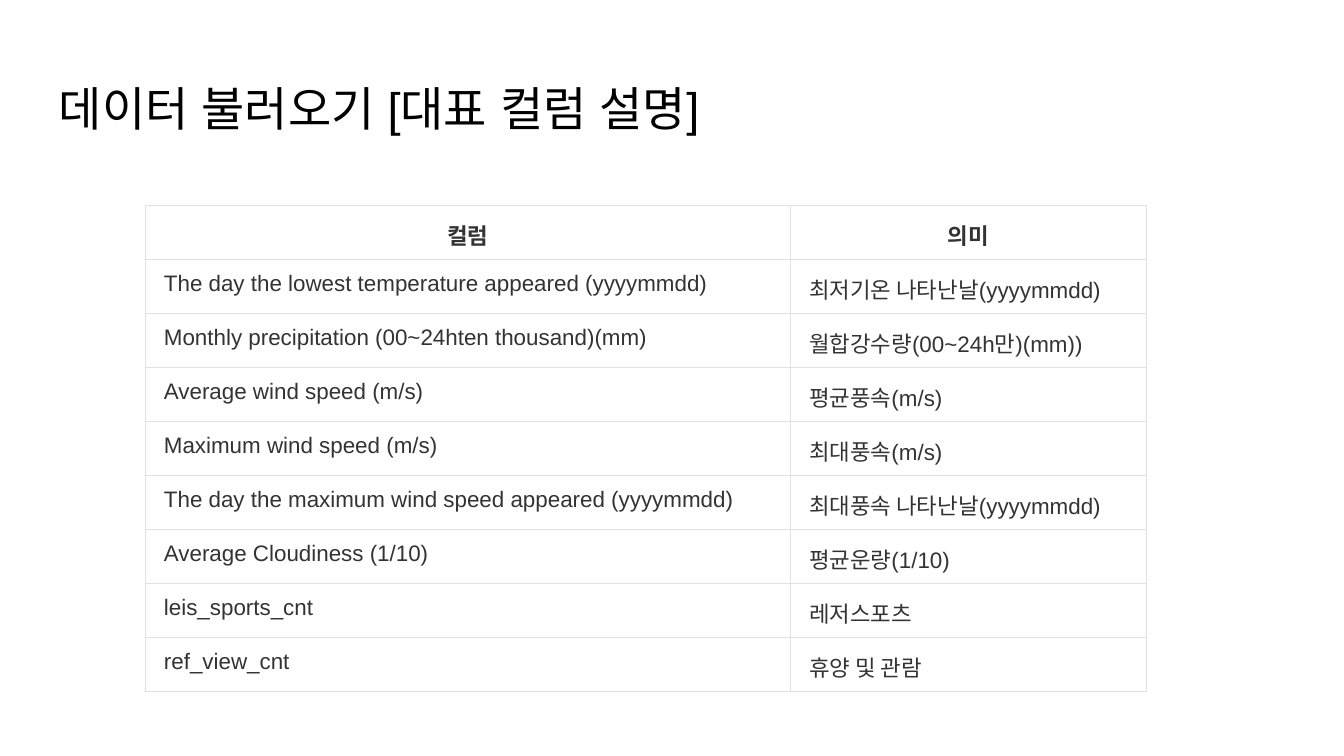
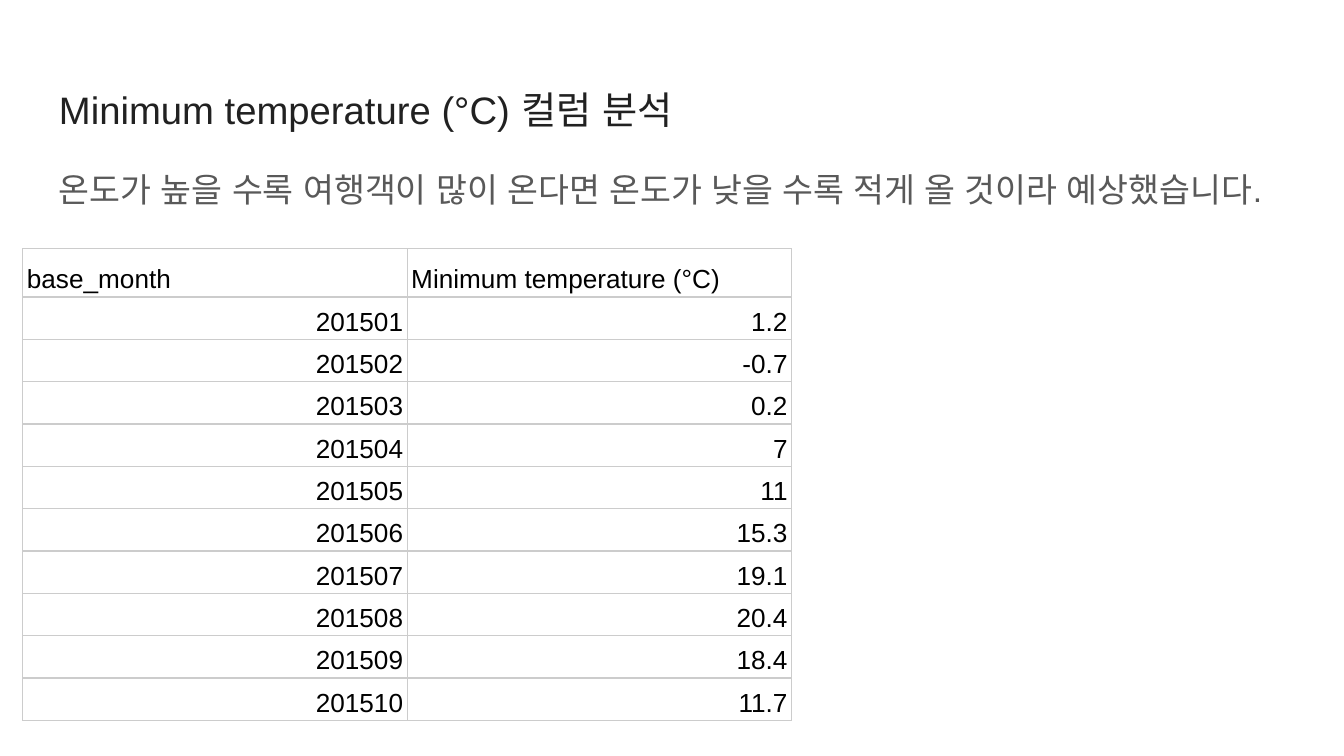
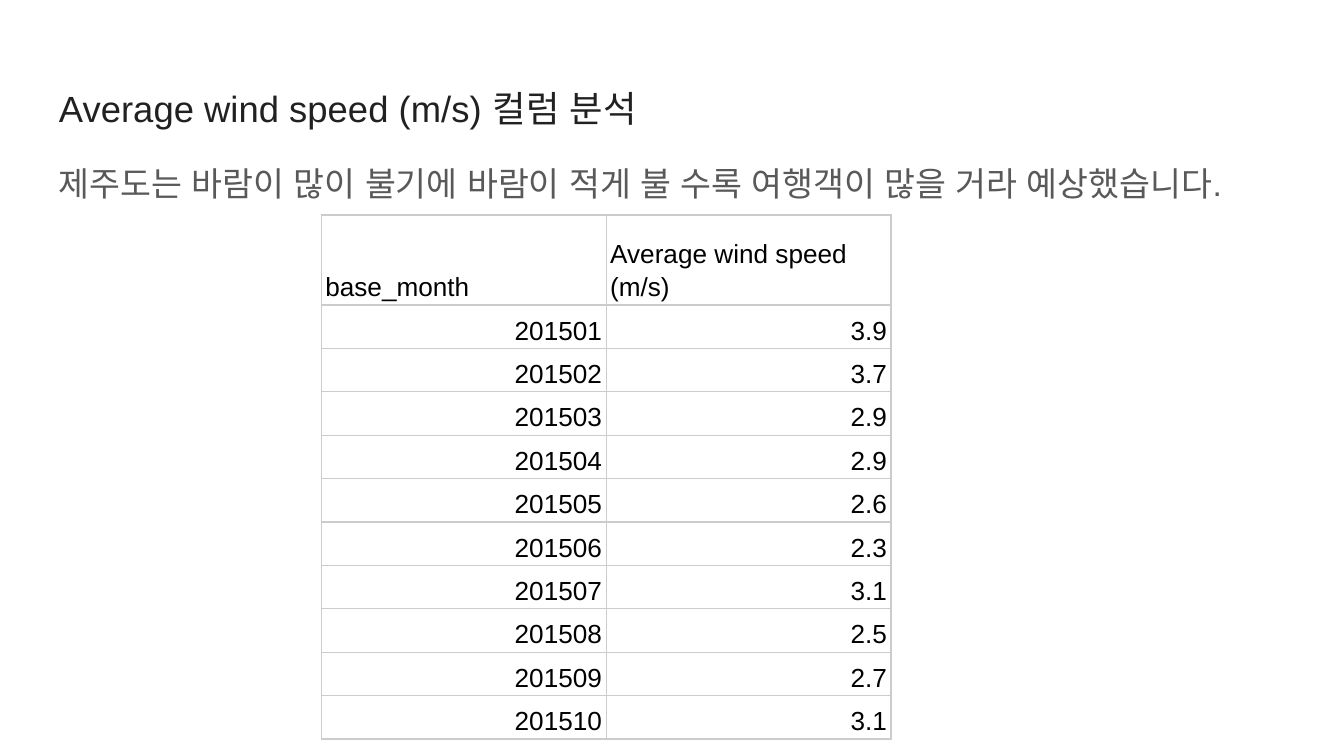
from pptx import Presentation
from pptx.dml.color import RGBColor
from pptx.enum import text
from pptx.oxml.ns import qn
from pptx.util import Inches, Pt
from lxml import etree

FONT = "Arial"
BLACK = RGBColor(0x00, 0x00, 0x00)
TITLE_INK = RGBColor(0x21, 0x21, 0x21)
BODY_INK = RGBColor(0x59, 0x59, 0x59)
CELL_INK = RGBColor(0x33, 0x33, 0x33)
WHITE = RGBColor(0xFF, 0xFF, 0xFF)
PALE_LINE = RGBColor(0xDF, 0xE2, 0xE5)
GREY_LINE = RGBColor(0xCC, 0xCC, 0xCC)

MARGIN, TEXT_WIDTH = 0.34, 9.32
LINE_SPACING = 1.15
LEFT, CENTER, RIGHT = (text.PP_ALIGN.LEFT, text.PP_ALIGN.CENTER,
                       text.PP_ALIGN.RIGHT)

COLUMN_MEANINGS = [
    ("컬럼", "의미"),
    ("The day the lowest temperature appeared (yyyymmdd)",
     "최저기온 나타난날(yyyymmdd)"),
    ("Monthly precipitation (00~24hten thousand)(mm)",
     "월합강수량(00~24h만)(mm))"),
    ("Average wind speed (m/s)", "평균풍속(m/s)"),
    ("Maximum wind speed (m/s)", "최대풍속(m/s)"),
    ("The day the maximum wind speed appeared (yyyymmdd)",
     "최대풍속 나타난날(yyyymmdd)"),
    ("Average Cloudiness (1/10)", "평균운량(1/10)"),
    ("leis_sports_cnt", "레저스포츠"),
    ("ref_view_cnt", "휴양 및 관람"),
]
MONTHS = [str(201501 + i) for i in range(10)]
MIN_TEMPERATURES = ["1.2", "-0.7", "0.2", "7", "11",
                    "15.3", "19.1", "20.4", "18.4", "11.7"]
WIND_SPEEDS = ["3.9", "3.7", "2.9", "2.9", "2.6",
               "2.3", "3.1", "2.5", "2.7", "3.1"]


def write(p, words, size, color, bold=False, align=LEFT, spacing=LINE_SPACING):
    p.alignment = align
    p.line_spacing = spacing
    r = p.add_run()
    r.text = words
    r.font.size = Pt(size)
    r.font.bold = bold
    r.font.color.rgb = color
    r.font.name = FONT
    return r


def add_text(slide, top, height, words, size, color, spacing=LINE_SPACING):
    """Add a full-width text box and return its paragraph."""
    box = slide.shapes.add_textbox(Inches(MARGIN), Inches(top),
                                   Inches(TEXT_WIDTH), Inches(height))
    tf = box.text_frame
    tf.word_wrap = True
    tf.margin_left = tf.margin_right = Inches(0.1)
    tf.margin_top = tf.margin_bottom = Inches(0.1)
    p = tf.paragraphs[0]
    r = write(p, words, size, color, spacing=spacing)
    for script in ("a:ea", "a:cs"):
        etree.SubElement(r._r.rPr, qn(script), typeface=FONT)
    return p


def add_title(slide, words, size, color=TITLE_INK, spacing=LINE_SPACING):
    add_text(slide, 0.49, 0.63, words, size, color, spacing)


def set_borders(cell, color):
    tc_pr = cell._tc.get_or_add_tcPr()
    for i, side in enumerate(("a:lnL", "a:lnR", "a:lnT", "a:lnB")):
        ln = etree.Element(qn(side), w=str(Pt(0.75)))
        fill = etree.SubElement(ln, qn("a:solidFill"))
        etree.SubElement(fill, qn("a:srgbClr"), val=str(color))
        tc_pr.insert(i, ln)


def add_grid(slide, left, top, widths, heights, line, margins, anchor):
    """Add an empty bordered table without any banding."""
    table = slide.shapes.add_table(
        len(heights), len(widths), Inches(left), Inches(top),
        Inches(sum(widths)), Inches(sum(heights))).table
    table.first_row = table.horz_banding = False
    for column, width in zip(table.columns, widths):
        column.width = Inches(width)
    for row, height in zip(table.rows, heights):
        row.height = Inches(height)
    side, end = margins
    for cell in table.iter_cells():
        cell.margin_left = cell.margin_right = Inches(side)
        cell.margin_top = cell.margin_bottom = Inches(end)
        cell.vertical_anchor = anchor
        cell.fill.background()
        set_borders(cell, line)
    return table


def build_column_slide(slide):
    add_title(slide, "데이터 불러오기 [대표 컬럼 설명]", 25.2, BLACK, 1.0)
    count = len(COLUMN_MEANINGS)
    table = add_grid(slide, 1.08, 1.53, [4.8, 2.65], [3.62 / count] * count,
                     PALE_LINE, (0.14, 0.06), text.MSO_ANCHOR.TOP)
    for i, row in enumerate(COLUMN_MEANINGS):
        for j, words in enumerate(row):
            cell = table.cell(i, j)
            cell.fill.solid()
            cell.fill.fore_color.rgb = WHITE
            write(cell.text_frame.paragraphs[0], words, 12, CELL_INK,
                  bold=i == 0, align=LEFT if i else CENTER)


def build_analysis_slide(slide, measure, title_size, body_top, expectation,
                         values, left, top, col_width, header_height,
                         values_height):
    """Title, expectation and a monthly table of one measure."""
    add_title(slide, f"{measure} 컬럼 분석", title_size)
    p = add_text(slide, body_top, 3.74, expectation, 18, BODY_INK)
    p.space_after = Pt(12)
    count = len(values)
    table = add_grid(slide, left, top, [col_width] * 2,
                     [header_height] + [values_height / count] * count,
                     GREY_LINE, (0.03, 0.02), text.MSO_ANCHOR.BOTTOM)
    rows = [("base_month", measure), *zip(MONTHS, values)]
    for i, row in enumerate(rows):
        for j, words in enumerate(row):
            write(table.cell(i, j).text_frame.paragraphs[0], words, 14, BLACK,
                  align=RIGHT if i else LEFT)


def main():
    prs = Presentation()
    prs.slide_width = Inches(10)
    prs.slide_height = prs.slide_width * 9 // 16
    columns, temperature, wind = (
        prs.slides.add_slide(prs.slide_layouts[6]) for _ in range(3))
    build_column_slide(columns)
    build_analysis_slide(
        temperature, "Minimum temperature (°C)", 20.5, 1.11,
        "온도가 높을 수록 여행객이 많이 온다면 온도가 낮을 수록 적게 올 것이라 예상했습니다.",
        MIN_TEMPERATURES, left=0.17, top=1.85, col_width=2.86,
        header_height=0.36, values_height=3.15)
    build_analysis_slide(
        wind, "Average wind speed (m/s)", 19.5, 1.07,
        "제주도는 바람이 많이 불기에 바람이 적게 불 수록 여행객이 많을 거라 예상했습니다.",
        WIND_SPEEDS, left=2.39, top=1.6, col_width=2.12,
        header_height=0.67, values_height=3.23)
    prs.save("out.pptx")


if __name__ == "__main__":
    main()
